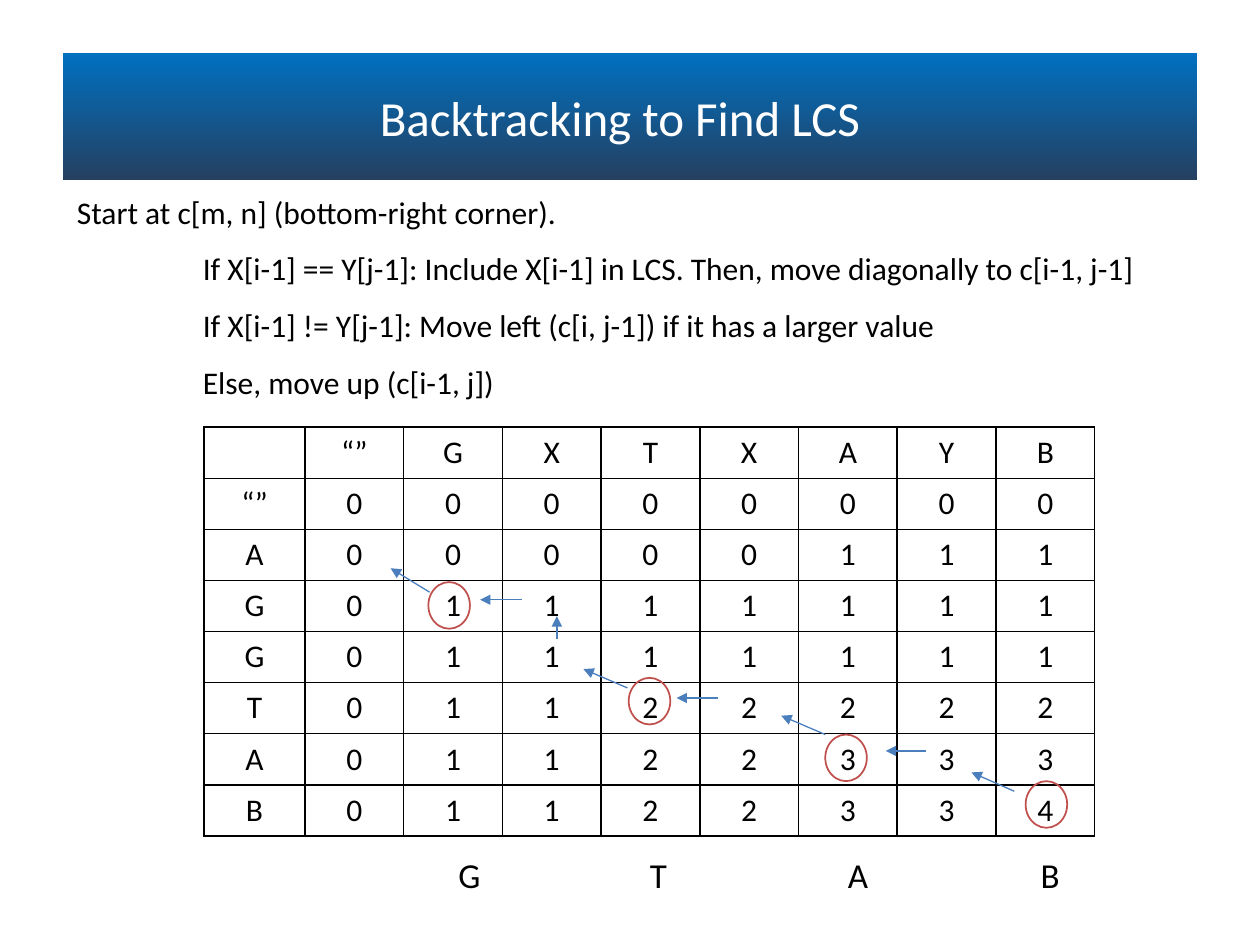
from lxml import etree
from pptx import Presentation
from pptx.dml.color import RGBColor
from pptx.enum.shapes import MSO_CONNECTOR, MSO_SHAPE
from pptx.enum.text import MSO_ANCHOR, MSO_AUTO_SIZE, PP_ALIGN
from pptx.oxml import parse_xml
from pptx.oxml.ns import nsdecls, qn
from pptx.util import Pt

RECT, OVAL = MSO_SHAPE.RECTANGLE, MSO_SHAPE.OVAL
STRAIGHT = MSO_CONNECTOR.STRAIGHT
LEFT, CENTER = PP_ALIGN.LEFT, PP_ALIGN.CENTER
TOP, MIDDLE = MSO_ANCHOR.TOP, MSO_ANCHOR.MIDDLE
NO_FIT = MSO_AUTO_SIZE.NONE

FONT = "Calibri"
BLACK, WHITE, RED, BLUE = "000000", "FFFFFF", "C0504D", "4B7EBC"
PX = 9144  # 100 px to the inch

STEPS = [
    "If X[i-1] == Y[j-1]: Include X[i-1] in LCS. Then, move diagonally to c[i-1, j-1]",
    "If X[i-1] != Y[j-1]: Move left (c[i, j-1]) if it has a larger value",
    "Else, move up (c[i-1, j])",
]
HEAD = ["", "“”", *"GXTXAYB"]
ROWS = [
    ("“”", "00000000"),
    ("A", "00000111"),
    ("G", "01111111"),
    ("G", "01111111"),
    ("T", "01122222"),
    ("A", "01122333"),
    ("B", "01122334"),
]
# Relative to the table's corner
RINGS = [(178, 123), (337, 199), (493, 244), (652, 281)]
MOVES = [
    (643, 289, 609, 274),
    (573, 257, 541, 257),
    (493, 244, 458, 229),
    (408, 215, 375, 215),
    (336, 207, 301, 192),
    (280, 168, 280, 150),
    (252, 137, 219, 137),
    (179, 131, 148, 112),
]
# Relative to the answer row
MATCH = [("G", 0), ("T", 152), ("A", 309), ("B", 462)]


def emu(*vals):
    return [round(v * PX) for v in vals]


def color(code):
    return RGBColor.from_string(code)


def place(shape, x, y, w, h):
    shape.left, shape.top, shape.width, shape.height = emu(x, y, w, h)


def write(par, text, size=18, ink=BLACK, align=LEFT, lead=1.0, indent=0):
    par.alignment, par.line_spacing = align, lead
    par.space_before = Pt(0)
    props = par._p.get_or_add_pPr()
    props.set("marL", str(indent * PX))
    props.set("indent", "0")
    etree.SubElement(props, qn("a:buNone"))
    run = par.add_run()
    run.text = text
    run.font.name, run.font.size = FONT, Pt(size)
    run.font.color.rgb = color(ink)


def add_banner(slide, x, y, w, h):
    band = slide.shapes.add_shape(RECT, *emu(x, y, w, h))
    band.shadow.inherit = False
    band.line.fill.background()
    band.fill.gradient()
    band.fill.gradient_angle = 270
    for stop, code in zip(band.fill.gradient_stops, ("0070C0", "254061")):
        stop.color.rgb = color(code)
    title = slide.shapes.title
    title.element.addprevious(band.element)
    place(title, x + 13, y + 17, w - 42, 67)
    frame = title.text_frame
    frame.auto_size, frame.vertical_anchor = NO_FIT, MIDDLE
    write(frame.paragraphs[0], "Backtracking to Find LCS", size=28, ink=WHITE, align=CENTER)


def add_rules(slide, x, y, w, h):
    body = slide.placeholders[1]
    place(body, x, y, w, h)
    frame = body.text_frame
    frame.auto_size, frame.vertical_anchor = NO_FIT, TOP
    write(frame.paragraphs[0], "Start at c[m, n] (bottom-right corner).")
    for step in STEPS:
        write(frame.add_paragraph(), step, lead=1.5, indent=100)


def add_border(cell):
    props = cell._tc.get_or_add_tcPr()
    for side in "LRTB":
        props.append(parse_xml(
            f'<a:ln{side} {nsdecls("a")} w="12700"><a:solidFill>'
            f'<a:srgbClr val="{BLACK}"/></a:solidFill></a:ln{side}>'))


def add_grid(slide, x, y, w, h):
    rows = [HEAD] + [[name, *vals] for name, vals in ROWS]
    table = slide.shapes.add_table(len(rows), len(HEAD), *emu(x, y, w, h)).table
    table.first_row = table.horz_banding = False
    first = 80
    rest = (w - first) / (len(HEAD) - 1)
    for i, col in enumerate(table.columns):
        col.width = emu(rest if i else first)[0]
    for r, row in enumerate(rows):
        for c, text in enumerate(row):
            cell = table.cell(r, c)
            add_border(cell)
            cell.fill.background()
            par = cell.text_frame.paragraphs[0]
            if text:
                write(par, text, align=CENTER)
            else:
                par.font.size = Pt(18)


def add_ring(slide, x, y, w, h):
    ring = slide.shapes.add_shape(OVAL, *emu(x, y, w, h))
    ring.shadow.inherit = False
    ring.fill.background()
    ring.line.color.rgb = color(RED)
    ring.line.width = Pt(1)


def add_arrow(slide, x1, y1, x2, y2):
    arrow = slide.shapes.add_connector(STRAIGHT, *emu(x1, y1, x2, y2))
    arrow.line.color.rgb = color(BLUE)
    arrow.line.width = Pt(0.75)
    etree.SubElement(arrow.line._get_or_add_ln(), qn("a:tailEnd"), type="triangle")
    etree.SubElement(arrow.element.spPr, qn("a:effectLst"))


def add_trace(slide, x, y):
    for dx, dy in RINGS:
        add_ring(slide, x + dx, y + dy, 33, 37)
    for x1, y1, x2, y2 in MOVES:
        add_arrow(slide, x + x1, y + y1, x + x2, y + y2)


def add_answer(slide, x, y, w, h):
    for letter, dx in MATCH:
        frame = slide.shapes.add_textbox(*emu(x + dx, y, w, h)).text_frame
        frame.word_wrap = True
        write(frame.paragraphs[0], letter, size=20, lead=1.5)


def main():
    deck = Presentation()
    deck.slide_width, deck.slide_height = emu(1000, 750)
    slide = deck.slides.add_slide(deck.slide_layouts[1])
    add_banner(slide, 50, 42, 900, 101)
    add_rules(slide, 51, 148, 899, 172)
    add_grid(slide, 162, 339, 707, 320)
    add_trace(slide, 162, 339)
    add_answer(slide, 354, 656, 39, 55)
    deck.save("out.pptx")


if __name__ == "__main__":
    main()
